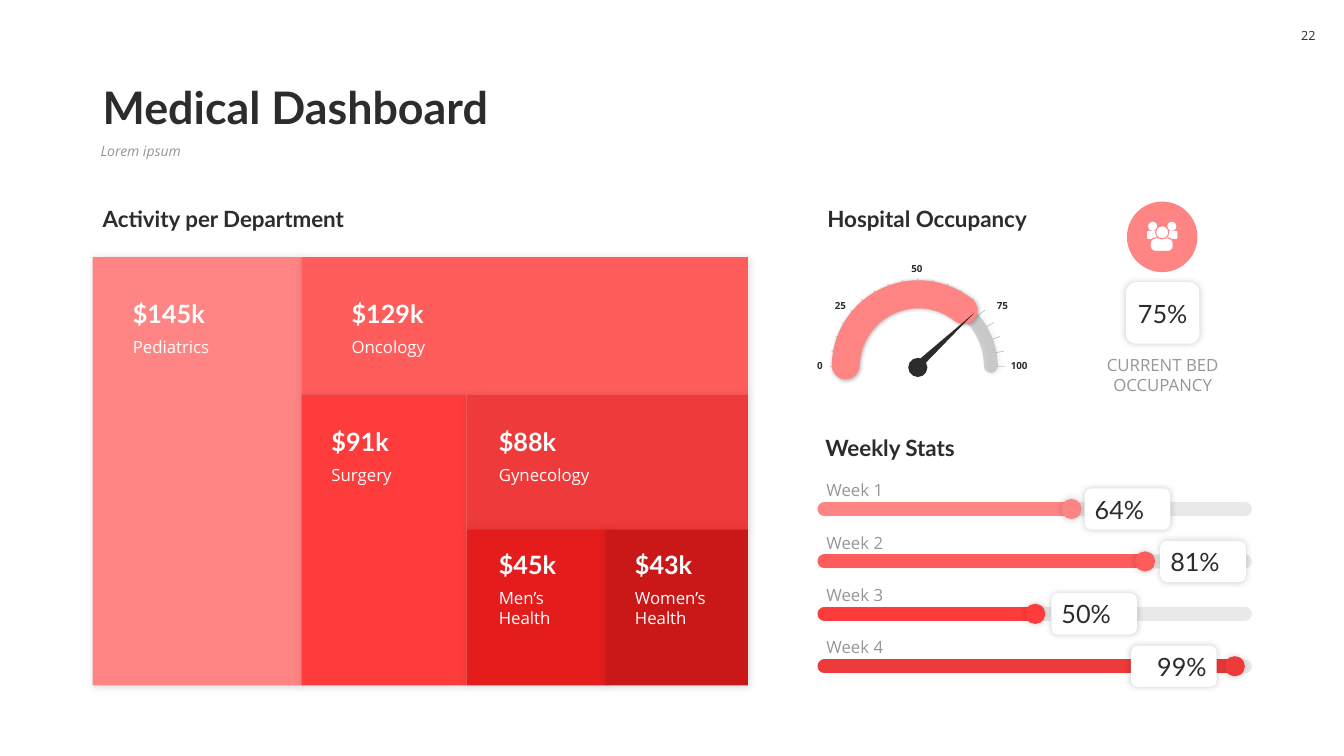
import math
from typing import Any, NamedTuple

import pptx
import pptx.dml.color
import pptx.enum.shapes
import pptx.enum.text
import pptx.oxml
import pptx.oxml.ns
import pptx.util

RGB = pptx.dml.color.RGBColor
KIND = pptx.enum.shapes.MSO_SHAPE
ANCHOR = pptx.enum.text.MSO_ANCHOR
ALIGN = pptx.enum.text.PP_ALIGN

INK = RGB(0x2C, 0x2C, 0x2C)
GRAY = RGB(0x96, 0x96, 0x96)
WHITE = RGB(0xFF, 0xFF, 0xFF)
PINK = RGB(0xFF, 0x85, 0x85)
CORAL = RGB(0xFF, 0x5C, 0x5C)
RED = RGB(0xFF, 0x3C, 0x3C)
BRICK = RGB(0xEE, 0x3A, 0x3A)
BLOOD = RGB(0xE4, 0x1C, 0x1C)
WINE = RGB(0xCA, 0x18, 0x18)

COLS, ROWS = 133.33, 75
CELL = pptx.util.Inches(0.1)


class Box(NamedTuple):
    """A frame in columns and rows of the grid."""
    left: float
    top: float
    wide: float
    high: float


class Style(NamedTuple):
    size: float
    face: str
    color: RGB
    bold: bool = False
    slant: bool = False


class Shade(NamedTuple):
    alpha: int
    blur: float
    gap: float


class Tile(NamedTuple):
    box: Box
    color: RGB
    value: str
    name: str
    left: float
    top: float
    wide: float


class Week(NamedTuple):
    color: RGB
    dot: float
    tag: float
    value: str
    align: Any = ALIGN.LEFT


class Mark(NamedTuple):
    text: str
    box: Box
    align: Any
    anchor: Any = ANCHOR.MIDDLE


TITLE = Style(32, "Lato", INK, bold=True)
LEAD = Style(10, "Open Sans", GRAY, slant=True)
PAGE = Style(9, "Open Sans", INK)
HEAD = Style(16, "Lato", INK, bold=True)
SUM = Style(18, "Lato", WHITE, bold=True)
NAME = Style(12, "Open Sans", WHITE)
NOTE = Style(12, "Open Sans", GRAY)
RATE = Style(18, "Lato", INK)
SCALE = Style(7, "Open Sans", INK, bold=True)

BLOCK, CARD, RING = Shade(15, 6, 1), Shade(20, 5, 0), Shade(30, 3, 1)

TILES = [
    Tile(Box(9.2, 25.5, 20.7, 42.5), PINK, "$145k", "Pediatrics", 12.2, 29.1, 18.6),
    Tile(Box(29.9, 25.5, 44.3, 13.7), CORAL, "$129k", "Oncology", 33.9, 29.1, 18.6),
    Tile(Box(29.9, 39.2, 16.4, 28.8), RED, "$91k", "Surgery", 31.9, 41.8, 12.9),
    Tile(Box(46.3, 39.2, 27.9, 13.4), BRICK, "$88k", "Gynecology", 48.5, 41.8, 20.9),
    Tile(Box(46.3, 52.55, 13.9, 15.45), BLOOD, "$45k", "Men’s Health", 48.5, 54, 10.5),
    Tile(Box(60.1, 52.55, 14.1, 15.45), WINE, "$43k", "Women’s Health", 62, 54, 10.5),
]
WEEKS = [
    Week(PINK, 106.3, 107.6, "64%"),
    Week(CORAL, 113.6, 115.1, "81%"),
    Week(RED, 102.7, 104.3, "50%"),
    Week(BRICK, 122.5, 112.2, "99%", ALIGN.RIGHT),
]
MARKS = [
    Mark("0", Box(80, 35.2, 2.6, 2.2), ALIGN.RIGHT),
    Mark("25", Box(81.8, 29.2, 3.1, 2.2), ALIGN.RIGHT),
    Mark("50", Box(89.4, 25.5, 3.1, 2.2), ALIGN.RIGHT, ANCHOR.BOTTOM),
    Mark("75", Box(97.9, 29.2, 3.1, 2.2), ALIGN.LEFT),
    Mark("100", Box(99.3, 35.2, 4.5, 2.2), ALIGN.LEFT),
]
HEADS = [("Activity per Department", 9.2, 19.8),
         ("Hospital Occupancy", 81.1, 19.8),
         ("Weekly Stats", 80.9, 42.5)]
HUB = (91.05, 36.35)
DIAL = Box(83.9, 29.2, 14.4, 14.4)


def grid(*cells: float) -> list[int]:
    return [round(cell * CELL) for cell in cells]


def write(shape, text: str, style: Style, align=ALIGN.LEFT, anchor=ANCHOR.TOP,
          pad: float = 1, wrap: bool = True, pitch: float = 1) -> None:
    frame = shape.text_frame
    frame.word_wrap = wrap
    frame.vertical_anchor = anchor
    frame.margin_left = frame.margin_right = grid(pad)[0]
    para = frame.paragraphs[0]
    para.text, para.alignment, para.line_spacing = text, align, pitch
    font = para.font
    font.size, font.name = pptx.util.Pt(style.size), style.face
    font.bold, font.italic = style.bold, style.slant
    font.color.rgb = style.color


def label(slide, box: Box, text: str, style: Style, **how) -> None:
    write(slide.shapes.add_textbox(*grid(*box)), text, style, **how)


def cast(shape, shade: Shade) -> None:
    """Give the shape a soft black shadow."""
    glow = pptx.oxml.parse_xml(
        f'<a:outerShdw {pptx.oxml.ns.nsdecls("a")} blurRad="{shade.blur * 12700:.0f}" '
        f'dist="{shade.gap * 12700:.0f}" dir="2700000" algn="ctr" rotWithShape="0">'
        f'<a:srgbClr val="000000"><a:alpha val="{shade.alpha * 1000}"/></a:srgbClr>'
        '</a:outerShdw>')
    shape._element.spPr.find(pptx.oxml.ns.qn("a:effectLst")).append(glow)


def draw(slide, kind, box: Box, color: RGB, shade: Shade | None = None):
    shape = slide.shapes.add_shape(kind, *grid(*box))
    shape.shadow.inherit = False
    shape.fill.solid()
    shape.fill.fore_color.rgb = color
    shape.line.fill.background()
    if shade:
        cast(shape, shade)
    return shape


def stroke(shape, color: RGB, width: float, alpha: int = 100, cap: str = "rnd") -> None:
    shape.line.color.rgb = color
    shape.line.width = pptx.util.Pt(width)
    edge = shape.line._get_or_add_ln()
    edge.set("cap", cap)
    if alpha < 100:
        tint = edge.find(".//" + pptx.oxml.ns.qn("a:srgbClr"))
        tint.append(pptx.oxml.parse_xml(
            f'<a:alpha {pptx.oxml.ns.nsdecls("a")} val="{alpha * 1000}"/>'))


def line(slide, start: tuple, end: tuple, color: RGB, width: float, **how) -> None:
    link = slide.shapes.add_connector(
        pptx.enum.shapes.MSO_CONNECTOR.STRAIGHT, *grid(*start, *end))
    stroke(link, color, width, **how)
    link._element.spPr.append(
        pptx.oxml.parse_xml(f'<a:effectLst {pptx.oxml.ns.nsdecls("a")}/>'))


def arc(slide, start: float, end: float, color: RGB, width: float, alpha: int = 100) -> None:
    """Draw part of the dial, with angles in degrees clockwise from the right."""
    shape = draw(slide, KIND.ARC, DIAL, color)
    shape.fill.background()
    shape.adjustments[0], shape.adjustments[1] = start * 0.6, end * 0.6
    stroke(shape, color, width, alpha)
    cast(shape, RING)


def gauge(slide) -> None:
    arc(slide, 179.5, 359.3, INK, 10, alpha=20)
    draw(slide, KIND.OVAL, Box(90.1, 35.5, 1.9, 1.9), INK)
    for turn in range(0, 181, 10):
        way = math.cos(math.radians(turn)), -math.sin(math.radians(turn))
        start, end = (tuple(mid + reach * part for mid, part in zip(HUB, way))
                      for reach in (8.7, 7.9))
        line(slide, start, end, INK, 0.5, alpha=30, cap="flat")
    for mark in MARKS:
        label(slide, mark.box, mark.text, SCALE, align=mark.align,
              anchor=mark.anchor, wrap=False)
    arc(slide, 181.3, 308.7, PINK, 20)
    draw(slide, KIND.ISOSCELES_TRIANGLE, Box(93.3, 29.7, 0.8, 8.2), INK).rotation = 47


def crowd(slide) -> None:
    """Draw the badge with three people."""
    draw(slide, KIND.OVAL, Box(111.8, 20, 7, 7), PINK)
    for left in (113.8, 115.6):
        draw(slide, KIND.ROUNDED_RECTANGLE, Box(left, 22.9, 1.2, 0.8), WHITE)
    for left in (113.9, 115.8):
        draw(slide, KIND.OVAL, Box(left, 22, 0.9, 0.9), WHITE)
    body = draw(slide, KIND.ROUNDED_RECTANGLE, Box(114.1, 23.6, 2.3, 1.35), WHITE)
    body.adjustments[0] = 0.4
    face = draw(slide, KIND.OVAL, Box(114.65, 22.4, 1.3, 1.3), WHITE)
    for shape in (body, face):
        stroke(shape, PINK, 0.75)


def stats(slide) -> None:
    for turn, week in enumerate(WEEKS):
        mid = 50.5 + 5.2 * turn
        label(slide, Box(81, mid - 3.4, 19.4, 3), f"Week {turn + 1}", NOTE,
              anchor=ANCHOR.BOTTOM)
        line(slide, (81.8, mid), (123.5, mid), INK, 10, alpha=10)
        line(slide, (81.8, mid), (week.dot, mid), week.color, 10)
        draw(slide, KIND.OVAL, Box(week.dot - 1, mid - 1, 2, 2), week.color, CARD)
        tag = draw(slide, KIND.ROUNDED_RECTANGLE,
                   Box(week.tag, mid - 2.05, 8.5, 4.1), WHITE, CARD)
        write(tag, week.value, RATE, align=week.align, anchor=ANCHOR.MIDDLE, pad=0.8)


def main() -> None:
    deck = pptx.Presentation()
    deck.slide_width, deck.slide_height = grid(COLS, ROWS)
    slide = deck.slides.add_slide(deck.slide_layouts[6])
    label(slide, Box(9.2, 5.8, 115, 8), "Medical Dashboard", TITLE,
          anchor=ANCHOR.BOTTOM, pitch=0.9)
    label(slide, Box(9, 13.8, 115.2, 3.6), "Lorem ipsum", LEAD, pitch=0.9)
    label(slide, Box(128, 1.8, 3.6, 3.5), "22", PAGE, align=ALIGN.CENTER,
          anchor=ANCHOR.MIDDLE, pad=0, wrap=False)
    for text, left, top in HEADS:
        label(slide, Box(left, top, 43.4, 3.7), text, HEAD, anchor=ANCHOR.BOTTOM)
    for tile in TILES:
        draw(slide, KIND.RECTANGLE, tile.box, tile.color, BLOCK)
    for tile in TILES:
        label(slide, Box(tile.left, tile.top, tile.wide, 4), tile.value, SUM,
              anchor=ANCHOR.BOTTOM)
        label(slide, Box(tile.left, tile.top + 3.85, tile.wide, 3), tile.name, NAME)
    gauge(slide)
    card = draw(slide, KIND.ROUNDED_RECTANGLE, Box(111.7, 28, 7.3, 6.1), WHITE, CARD)
    write(card, "75%", RATE, align=ALIGN.CENTER, anchor=ANCHOR.MIDDLE, pad=0)
    label(slide, Box(108, 34.7, 14.7, 5), "CURRENT BED OCCUPANCY", NOTE,
          align=ALIGN.CENTER, pad=0.4)
    crowd(slide)
    stats(slide)
    deck.save("out.pptx")


if __name__ == "__main__":
    main()
